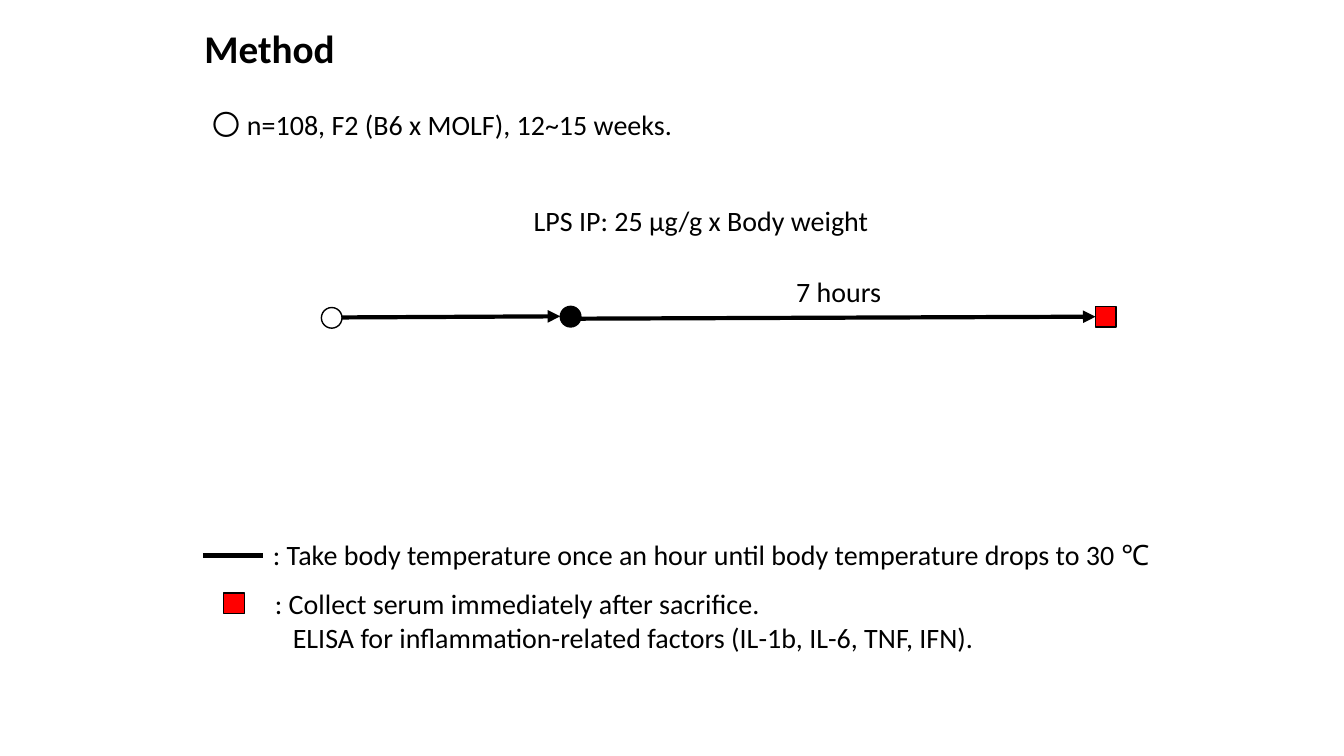
from lxml.etree import SubElement as Sub
from pptx import Presentation
from pptx.dml.color import RGBColor as Rgb
from pptx.enum.shapes import MSO_CONNECTOR as Conn, MSO_SHAPE as Geo
from pptx.enum.text import MSO_ANCHOR as Anchor, MSO_AUTO_SIZE as Auto, PP_ALIGN as Align
from pptx.oxml.ns import qn
from pptx.util import Cm, Pt

# Content: lengths in cm
HUES = {"ink": "000000", "paper": "FFFFFF", "serum": "FF0000"}
TITLE = ("Method", (4.24, 0.48, 5.11, 1.45))
MID, LEFT = Align.CENTER, Align.LEFT
ROW = 1.12
# lines of text, box, alignment
NOTES = [
    (["〇 n=108, F2 (B6 x MOLF), 12~15 weeks."], (5.11, 2.57, 19.91, ROW), LEFT),
    (["LPS IP: 25 μg/g x Body weight"], (13.11, 5.0, 9.12, ROW), MID),
    (["7 hours"], (19.66, 6.78, 2.95, ROW), MID),
    ([": Take body temperature once an hour until body temperature drops to 30 ℃"],
     (6.63, 13.41, 22.81, ROW), LEFT),
    ([": Collect serum immediately after sacrifice.",
      "ELISA for inflammation-related factors (IL-1b, IL-6, TNF, IFN)."],
     (6.68, 14.66, 22.17, 1.96), LEFT),
]
# start, end, arrowhead
LINES = [
    ((8.38, 8.0), (14.12, 7.97), True),
    ((14.6, 8.03), (27.61, 7.98), True),
    ((5.11, 14.0), (6.63, 14.0), False),
]
# shape, left, top, fill
SIDE = 0.52
MARKS = [
    (Geo.OVAL, 8.1, 7.75, "paper"),
    (Geo.OVAL, 14.12, 7.72, "ink"),
    (Geo.RECTANGLE, 27.61, 7.72, "serum"),
    (Geo.RECTANGLE, 5.64, 14.94, "serum"),
]
HANG = Cm(0.45)
FRAME = {"word_wrap": True, "auto_size": Auto.NONE, "vertical_anchor": Anchor.TOP,
         "margin_left": Cm(0.25), "margin_right": Cm(0.25),
         "margin_top": Cm(0.13), "margin_bottom": Cm(0.13)}
HEAD = {"name": "Calibri", "size": Pt(28), "bold": True}
BODY = {"name": "Calibri", "size": Pt(20), "bold": False}


def put(obj, vals):
    for key, val in vals.items():
        setattr(obj, key, val)


def hue(name):
    return Rgb.from_string(HUES[name])


def write(shape, lines, align, font):
    frame = shape.text_frame
    put(frame, FRAME)
    frame.text = "\n".join(lines)
    for i, para in enumerate(frame.paragraphs):
        para.alignment = align
        if i:
            para._p.get_or_add_pPr().set("marL", str(HANG))
        put(para.font, font)
        para.font.color.rgb = hue("ink")


def stroke(shape, width):
    shape.line.color.rgb = hue("ink")
    shape.line.width = Pt(width)


deck = Presentation()
put(deck, {"slide_width": Cm(33.87), "slide_height": Cm(19.05)})
slide = deck.slides.add_slide(deck.slide_layouts[5])
shapes = slide.shapes

# Title
text, box = TITLE
put(shapes.title, dict(zip(("left", "top", "width", "height"), map(Cm, box))))
write(shapes.title, [text], MID, HEAD)

# Labels and legend text
for lines, box, align in NOTES:
    write(shapes.add_textbox(*map(Cm, box)), lines, align, BODY)

# Timeline and legend lines
for start, end, arrow in LINES:
    link = shapes.add_connector(Conn.STRAIGHT, *map(Cm, start + end))
    stroke(link, 3)
    if arrow:
        Sub(link.line._get_or_add_ln(), qn("a:tailEnd"), type="triangle")
    Sub(link._element.spPr, qn("a:effectLst"))

# Time points and legend square
for geo, left, top, fill in MARKS:
    mark = shapes.add_shape(geo, Cm(left), Cm(top), Cm(SIDE), Cm(SIDE))
    mark.shadow.inherit = False
    mark.fill.solid()
    mark.fill.fore_color.rgb = hue(fill)
    stroke(mark, 1)

deck.save("out.pptx")
